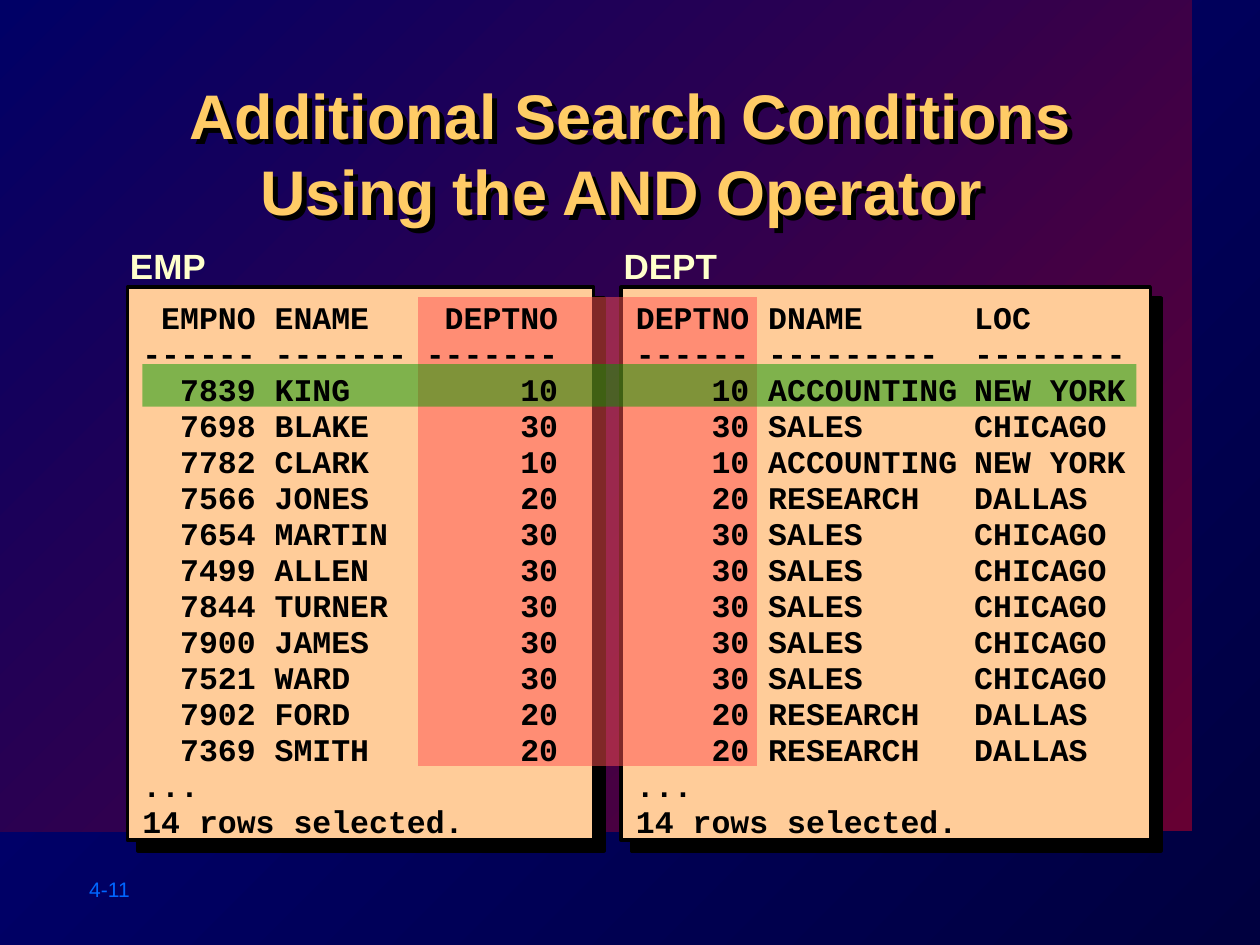
import pptx
import pptx.dml.color
import pptx.enum.shapes
import pptx.enum.text
import pptx.oxml
import pptx.oxml.ns
import pptx.util
from pptx.dml.color import RGBColor
from pptx.util import Cm, Pt

BLACK = RGBColor(0x00, 0x00, 0x00)
NIGHT = RGBColor(0x00, 0x00, 0x3F)
NAVY = RGBColor(0x00, 0x00, 0x80)
INDIGO = RGBColor(0x00, 0x00, 0x66)
WINE = RGBColor(0x66, 0x00, 0x33)
PEACH = RGBColor(0xFF, 0xCC, 0x99)
GOLD = RGBColor(0xFF, 0xCC, 0x66)
CREAM = RGBColor(0xFF, 0xFF, 0xCC)
BLUE = RGBColor(0x00, 0x66, 0xFF)
RED = RGBColor(0xFF, 0x50, 0x50)
GREEN = RGBColor(0x00, 0x99, 0x00)

CHARACTER = 0.381  # width in cm of one 18 pt Courier New character
LISTING_END = ["...", "14 rows selected."]

EMP_ROWS = [
    ("EMPNO", "ENAME", "DEPTNO"),
    ("------", "-------", "-------"),
    ("7839", "KING", "10"),
    ("7698", "BLAKE", "30"),
    ("7782", "CLARK", "10"),
    ("7566", "JONES", "20"),
    ("7654", "MARTIN", "30"),
    ("7499", "ALLEN", "30"),
    ("7844", "TURNER", "30"),
    ("7900", "JAMES", "30"),
    ("7521", "WARD", "30"),
    ("7902", "FORD", "20"),
    ("7369", "SMITH", "20"),
]
ACCOUNTING = ("10", "ACCOUNTING", "NEW YORK")
RESEARCH = ("20", "RESEARCH", "DALLAS")
SALES = ("30", "SALES", "CHICAGO")
DEPT_ROWS = [
    ("DEPTNO", "DNAME", "LOC"),
    ("------", "---------", "--------"),
    ACCOUNTING, SALES, ACCOUNTING, RESEARCH,
    *[SALES] * 5,
    RESEARCH, RESEARCH,
]

# Tab stops as (character column, alignment)
EMP_STOPS = [(6, "r"), (7, "l"), (22, "r")]
DEPT_STOPS = [(6, "r"), (7, "l"), (17.9, "l")]


def fill_gradient(fill, first, last):
    """Run the gradient from the lower right to the upper left."""
    fill.gradient()
    fill.gradient_angle = 135
    for stop, color in zip(fill.gradient_stops, (first, last)):
        stop.color.rgb = color


def add_shadow(shape, distance):
    """Cast a hard black shadow to the lower right."""
    shape._element.spPr.append(pptx.oxml.parse_xml(
        f'<a:effectLst {pptx.oxml.ns.nsdecls("a")}>'
        f'<a:outerShdw dist="{Pt(distance)}" dir="2700000" algn="ctr" rotWithShape="0">'
        '<a:srgbClr val="000000"/></a:outerShdw></a:effectLst>'))


def add_rectangle(slide, box):
    rectangle = slide.shapes.add_shape(
        pptx.enum.shapes.MSO_SHAPE.RECTANGLE, *[Cm(length) for length in box])
    rectangle.line.fill.background()
    return rectangle


def add_text(slide, box, lines, size, color, font="Arial", bold=True):
    text_box = slide.shapes.add_textbox(*[Cm(length) for length in box])
    text_frame = text_box.text_frame
    text_frame.word_wrap = True
    text_frame.text = "\n".join(lines)
    for paragraph in text_frame.paragraphs:
        for run in paragraph.runs:
            run.font.name = font
            run.font.size = Pt(size)
            run.font.bold = bold
            run.font.color.rgb = color
    return text_box


def draw_backdrop(slide):
    fill_gradient(slide.background.fill, NIGHT, NAVY)
    field = add_rectangle(slide, (0, 0, 24.03, 16.76))
    field.shadow.inherit = False
    fill_gradient(field.fill, WINE, INDIGO)
    add_text(slide, (1.55, 17.55, 2.82, 0.76), ["4-11"], 12, BLUE, bold=False)


def draw_title(slide, box):
    title = add_text(slide, box, ["Additional Search Conditions",
                                  "Using the AND Operator "], 36, GOLD)
    for paragraph in title.text_frame.paragraphs:
        paragraph.alignment = pptx.enum.text.PP_ALIGN.CENTER
        paragraph.line_spacing = Pt(43.4)
    add_shadow(title, 4)


def draw_panel(slide, box, name):
    """Draw a table's panel with its name above the upper left corner."""
    left, top, width, height = box
    panel = add_rectangle(slide, box)
    panel.fill.solid()
    panel.fill.fore_color.rgb = PEACH
    panel.line.color.rgb = BLACK
    panel.line.width = Pt(2)
    add_shadow(panel, 8.5)
    add_text(slide, (left - 0.2, top - 0.99, 3, 1.09), [name], 20, CREAM)


def draw_highlight(slide, box, color):
    highlight = add_rectangle(slide, box)
    highlight.shadow.inherit = False
    highlight.fill.solid()
    highlight.fill.fore_color.rgb = color
    color_element = highlight._element.spPr.find(".//" + pptx.oxml.ns.qn("a:srgbClr"))
    color_element.append(pptx.oxml.parse_xml(
        f'<a:alpha {pptx.oxml.ns.nsdecls("a")} val="50000"/>'))


def draw_listing(slide, box, rows, stops):
    """Write the query result inside a panel's box, in tabbed columns."""
    left, top, width, height = box
    lines = ["\t" + "\t".join(row) for row in rows] + LISTING_END
    listing = add_text(slide, (left + 0.05, top + 0.14, width - 0.1, height - 0.1),
                       lines, 18, BLACK, font="Courier New")
    tabs = "".join(f'<a:tab pos="{Cm(column * CHARACTER)}" algn="{alignment}"/>'
                   for column, alignment in stops)
    for paragraph in listing.text_frame.paragraphs:
        paragraph.line_spacing = Pt(20.54)
        paragraph._p.get_or_add_pPr().append(pptx.oxml.parse_xml(
            f'<a:tabLst {pptx.oxml.ns.nsdecls("a")}>{tabs}</a:tabLst>'))


def main():
    presentation = pptx.Presentation()
    presentation.slide_width = Cm(25.4)
    presentation.slide_height = Cm(19.05)
    slide = presentation.slides.add_slide(presentation.slide_layouts[6])

    draw_backdrop(slide)
    draw_title(slide, (2.57, 1.42, 20.27, 2.44))

    # Panels, then the highlights across both, then the listings on top
    tables = [
        ("EMP", (2.57, 5.79, 9.4, 11.15), EMP_ROWS, EMP_STOPS),
        ("DEPT", (12.52, 5.79, 10.67, 11.15), DEPT_ROWS, DEPT_STOPS),
    ]
    for name, box, rows, stops in tables:
        draw_panel(slide, box, name)
    draw_highlight(slide, (8.43, 5.99, 6.83, 9.45), RED)
    draw_highlight(slide, (2.87, 7.34, 20.04, 0.86), GREEN)
    for name, box, rows, stops in tables:
        draw_listing(slide, box, rows, stops)

    presentation.save("out.pptx")


if __name__ == "__main__":
    main()
